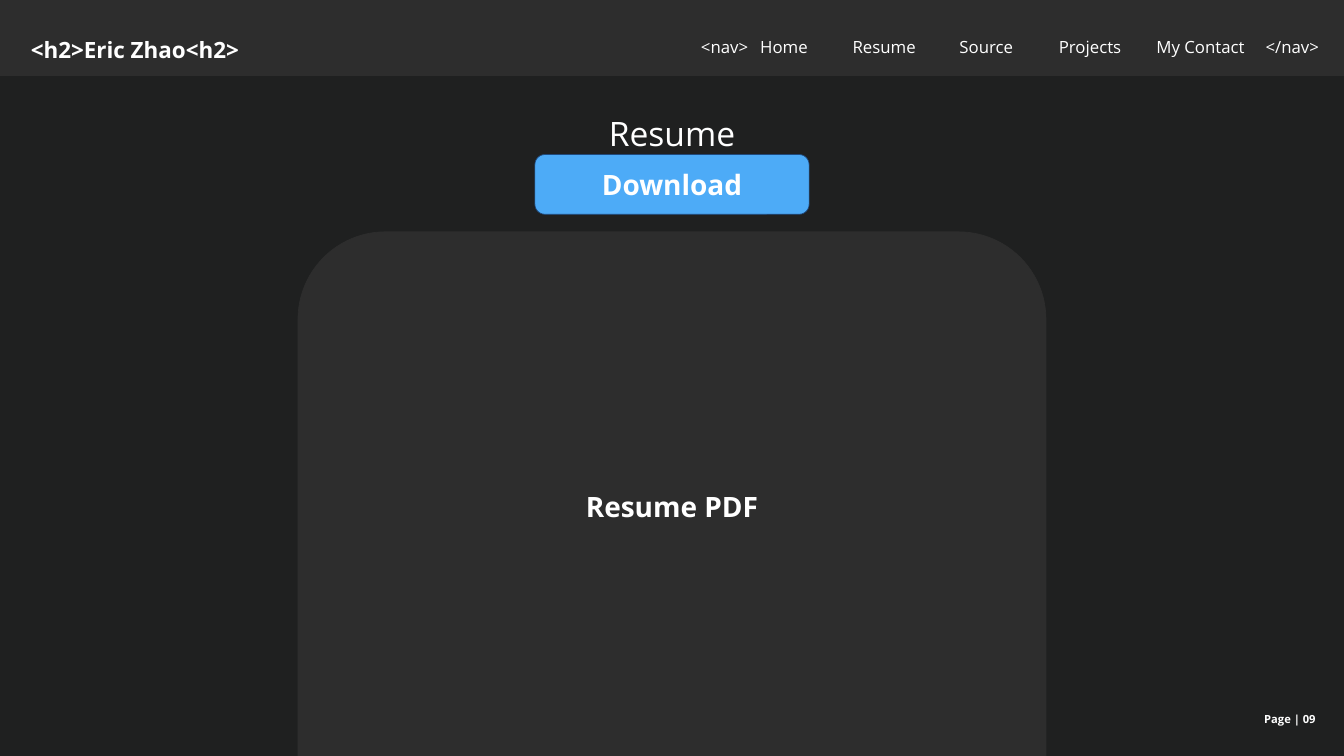
import pptx
import pptx.dml.color
import pptx.enum.shapes
import pptx.enum.text
import pptx.util

Pt = pptx.util.Pt
Shape = pptx.enum.shapes.MSO_SHAPE
Align = pptx.enum.text.PP_ALIGN
Anchor = pptx.enum.text.MSO_ANCHOR
AutoSize = pptx.enum.text.MSO_AUTO_SIZE

COLORS = {
    "page": "1F2020",
    "panel": "2D2D2D",
    "button": "4DABF7",
    "button_edge": "1F497D",
    "text": "FFFFFF",
}
WIDTH, HEIGHT = 1440, 810
NAV_TOP, NAV_HEIGHT = 31, 21.6
NAV_ITEMS = [
    ("<nav>", 751, 64),
    ("Home", 814.5, 64),
    ("Resume", 913.5, 77),
    ("Source", 1028, 68.5),
    ("Projects", 1134.5, 77),
    ("My Contact", 1239, 106.5),
    ("</nav>", 1356, 64),
]


def color(name):
    return pptx.dml.color.RGBColor.from_string(COLORS[name])


def apply_format(target, values):
    for name, value in values.items():
        setattr(target, name, value)


def paint(fill, name):
    fill.solid()
    fill.fore_color.rgb = color(name)


def write(box, text, size, bold, align, spacing, anchor, inset, auto_size):
    frame = box.text_frame
    apply_format(frame, {
        "word_wrap": True,
        "auto_size": auto_size,
        "vertical_anchor": anchor,
        "margin_left": Pt(inset),
        "margin_top": Pt(inset),
        "margin_right": Pt(inset),
        "margin_bottom": Pt(inset),
    })
    para = frame.paragraphs[0]
    apply_format(para, {"alignment": align, "line_spacing": spacing, "space_before": Pt(0)})
    span = para.add_run()
    span.text = text
    apply_format(span.font, {"name": "Open Sans", "size": Pt(size), "bold": bold})
    span.font.color.rgb = color("text")


def write_label(box, text, size, bold=False, align=Align.LEFT):
    write(box, text, size, bold, align, 1.4, Anchor.TOP, 0, AutoSize.SHAPE_TO_FIT_TEXT)


def add_label(page, text, left, top, width, height, size, bold=False, align=Align.LEFT):
    box = page.shapes.add_textbox(Pt(left), Pt(top), Pt(width), Pt(height))
    write_label(box, text, size, bold, align)


def add_title(page, text, top, width, height):
    title = page.shapes.title
    apply_format(title, {
        "left": Pt((WIDTH - width) / 2),
        "top": Pt(top),
        "width": Pt(width),
        "height": Pt(height),
    })
    write_label(title, text, 36, align=Align.CENTER)


def add_panel(page, kind, top, width, height, fill, edge=None, text=None, corners=()):
    panel = page.shapes.add_shape(
        kind, Pt((WIDTH - width) / 2), Pt(top), Pt(width), Pt(height))
    panel.shadow.inherit = False
    paint(panel.fill, fill)
    if edge:
        paint(panel.line.fill, edge)
        panel.line.width = Pt(0.75)
    else:
        panel.line.fill.background()
    for index, corner in enumerate(corners):
        panel.adjustments[index] = corner
    if text:
        write(panel, text, 30, True, Align.CENTER, 1.0, Anchor.MIDDLE, 7.2, AutoSize.NONE)


def main():
    deck = pptx.Presentation()
    apply_format(deck, {"slide_width": Pt(WIDTH), "slide_height": Pt(HEIGHT)})
    page = deck.slides.add_slide(deck.slide_layouts[5])
    paint(page.background.fill, "page")

    add_panel(page, Shape.RECTANGLE, 0, WIDTH, 81.4, "panel")
    add_label(page, "<h2>Eric Zhao<h2>", 33, 27.4, 294, 28.8, 24, True)
    for text, left, width in NAV_ITEMS:
        add_label(page, text, left, NAV_TOP, width, NAV_HEIGHT, 18)

    add_title(page, "Resume", 103.7, 160.6, 43.9)
    add_panel(page, Shape.ROUND_2_SAME_RECTANGLE, 248.4, 801.4, 561.6,
              "panel", "panel", "Resume PDF", (0.167, 0))
    add_panel(page, Shape.ROUNDED_RECTANGLE, 165.6, 293.8, 64,
              "button", "button_edge", "Download", (0.167,))
    add_label(page, "Page | 09", 1345.7, 757, 64, 14.4, 12, True, Align.RIGHT)
    deck.save("out.pptx")


if __name__ == "__main__":
    main()
